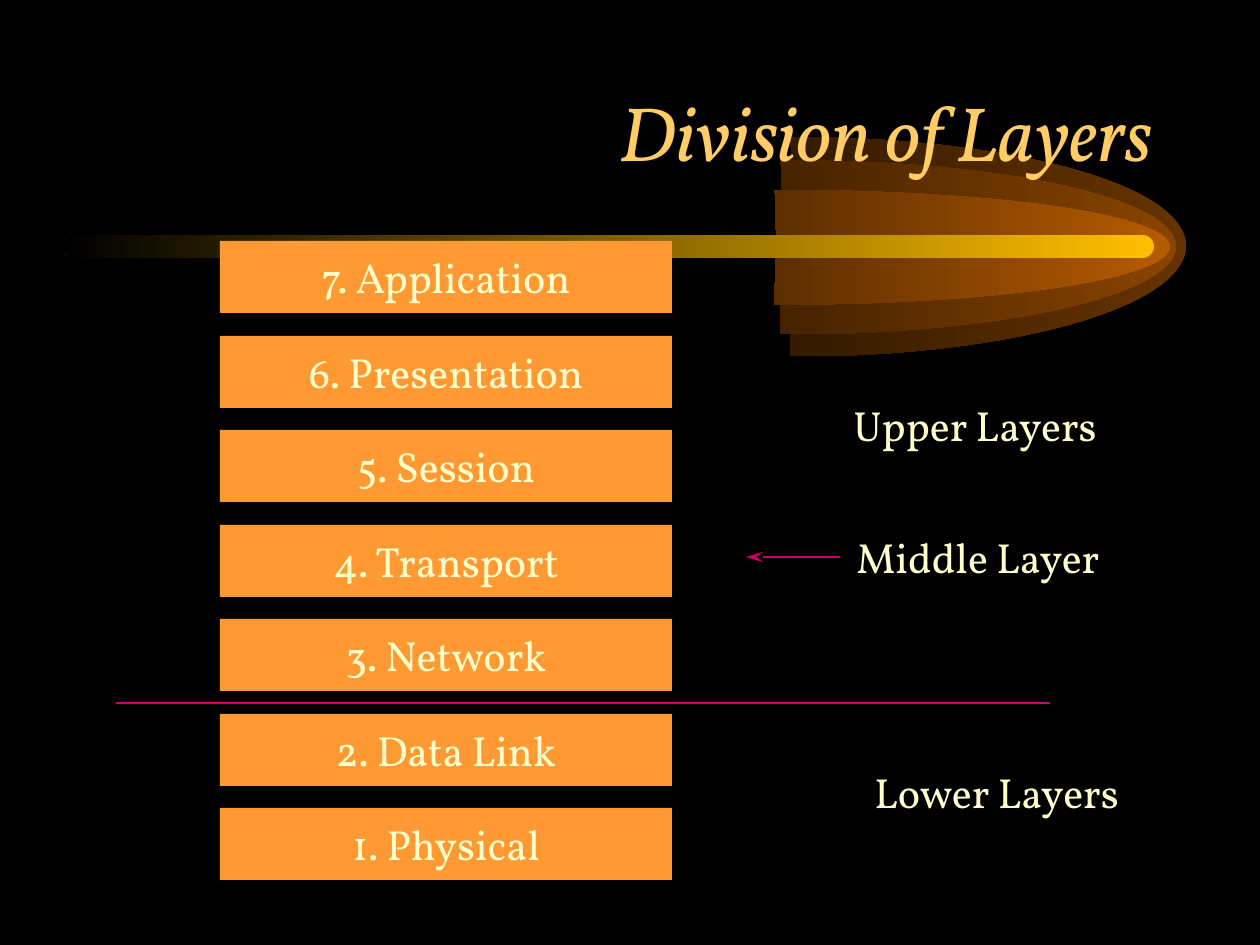
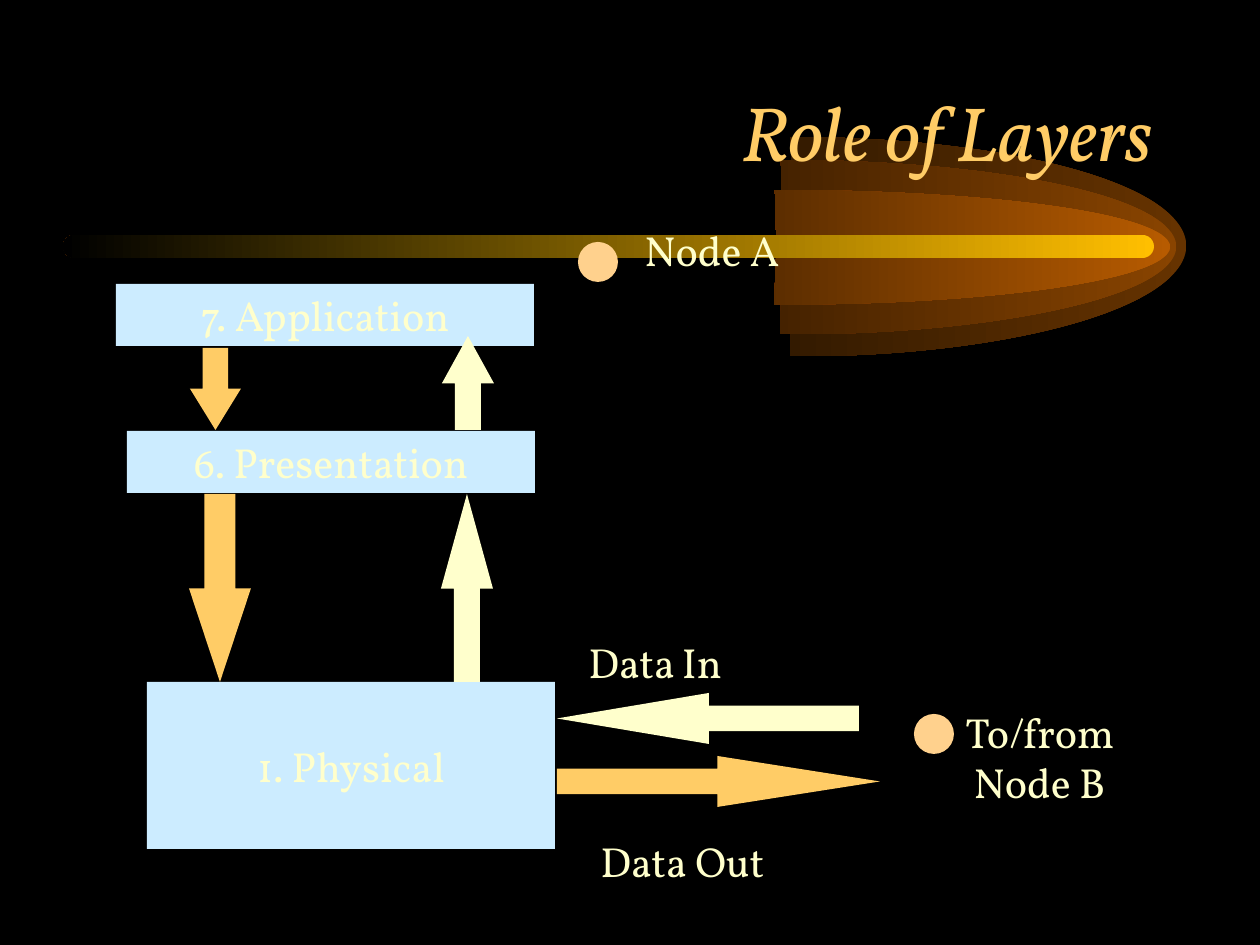
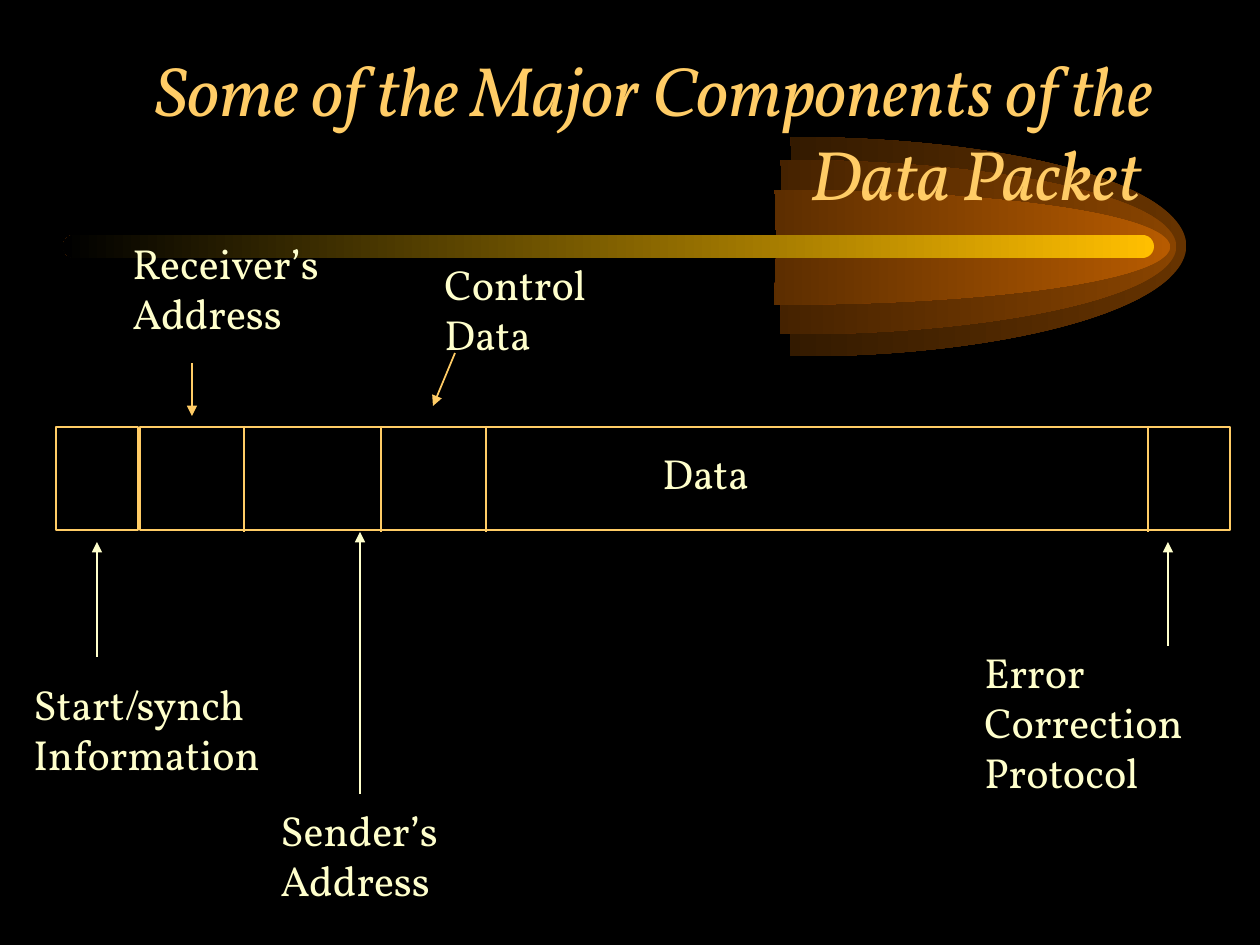
from lxml import etree
from pptx import Presentation
from pptx import util as u
from pptx.dml.color import RGBColor
from pptx.enum import shapes, text
from pptx.oxml.ns import qn

SCALE = 914400 / 126  # EMU in one px
FONT = "Vollkorn"
COLOURS = {
    "black": "000000", "gold": "FFCC66", "cream": "FFFFCC", "orange": "FF9933",
    "ice": "CCECFF", "peach": "FFD18D", "magenta": "CC0066", "beam": "FFBF00",
    "outer": "663300", "middle": "894400", "inner": "B75B00",
}
RGB = {name: RGBColor.from_string(value) for name, value in COLOURS.items()}
KIND = shapes.MSO_SHAPE


def px(*lengths):
    return [u.Emu(round(length * SCALE)) for length in lengths]


def add_part(slide, kind, box, fill=None, pieces=(), adjust=()):
    """Add a filled shape, an outlined shape (no fill) or a text label (no kind)."""
    if kind is None:
        part = slide.shapes.add_textbox(*px(*box))
        part.text_frame.auto_size = text.MSO_AUTO_SIZE.SHAPE_TO_FIT_TEXT
    else:
        part = slide.shapes.add_shape(kind, *px(*box))
        part.shadow.inherit = False
        for index, value in enumerate(adjust):
            part.adjustments[index] = value
        if fill:
            part.fill.solid()
            part.fill.fore_color.rgb = RGB[fill]
            part.line.fill.background()
        else:
            part.fill.background()
            part.line.color.rgb = RGB["gold"]
            part.line.width = u.Pt(1)
    frame = part.text_frame
    frame.word_wrap = False
    for number, line_pieces in enumerate(pieces):
        paragraph = frame.add_paragraph() if number else frame.paragraphs[0]
        paragraph.alignment = text.PP_ALIGN.CENTER if kind else text.PP_ALIGN.LEFT
        for words, size in line_pieces:
            run = paragraph.add_run()
            run.text = words
            for key, value in {"name": FONT, "size": u.Pt(size)}.items():
                setattr(run.font, key, value)
            run.font.color.rgb = RGB["cream"]
    return part


prs = Presentation()
prs.slide_width, prs.slide_height = px(1260, 945)
layout = prs.slide_layouts[5]
layout.background.fill.solid()
layout.background.fill.fore_color.rgb = RGB["black"]

# Titles
slides = []
for heading, size in [
    ("Division of Layers", 44),
    ("Role of Layers", 44),
    ("Some of the Major Components of the Data Packet ", 40),
]:
    slide = prs.slides.add_slide(layout)
    title = slide.shapes.title
    title.left, title.top, title.width, title.height = px(95, 52, 1071, 158)
    title.text_frame.text = heading
    title.text_frame.auto_size = text.MSO_AUTO_SIZE.NONE
    title.text_frame.vertical_anchor = text.MSO_ANCHOR.MIDDLE
    paragraph = title.text_frame.paragraphs[0]
    paragraph.alignment = text.PP_ALIGN.RIGHT
    font = paragraph.runs[0].font
    for key, value in {"name": FONT, "size": u.Pt(size), "italic": True, "bold": False}.items():
        setattr(font, key, value)
    font.color.rgb = RGB["gold"]
    slides.append(slide)
division, role, packet = slides

# Comet behind every title: three half ellipses and a beam, kept on the layout
# The rim is given in thousandths of each frame; the filled part closes through the centre
rim = [
    ("moveTo", [(498, 0)]),
    ("cubicBezTo", [(677, 0), (843, 91), (933, 246)]),
    ("cubicBezTo", [(1022, 400), (1021, 594), (931, 749)]),
    ("cubicBezTo", [(842, 903), (676, 1000), (497, 997)]),
]
closing = [("lnTo", [(500, 497)]), ("close", [])]
comet = []
for (left, top, width, height), glow in [
    ((398, 137, 789, 220), "outer"),
    ((388, 160, 789, 175), "middle"),
    ((382, 190, 789, 115), "inner"),
]:
    right, bottom = left + width, top + height
    builder = division.shapes.build_freeform(left, top, scale=SCALE)
    builder.add_line_segments([(right, top), (right, bottom), (left, bottom)])
    tail = builder.convert_to_shape()
    outlines = tail.element.spPr.find(".//" + qn("a:pathLst"))
    outlines.clear()
    for steps, options in [(rim + closing, {}), (rim, {"fill": "none"})]:
        outline = etree.SubElement(outlines, qn("a:path"), w="1000", h="1000", **options)
        for command, points in steps:
            step = etree.SubElement(outline, qn("a:" + command))
            for x, y in points:
                etree.SubElement(step, qn("a:pt"), x=str(x), y=str(y))
    comet.append((tail, glow))
beam = add_part(division, KIND.ROUNDED_RECTANGLE, (63, 235, 1091, 23), "beam", adjust=[0.5])
comet.append((beam, "beam"))
for band, glow in comet:
    band.shadow.inherit = False
    band.line.fill.background()
    band.fill.gradient()
    band.fill.gradient_angle = 180
    for stop, colour in zip(band.fill.gradient_stops, (glow, "black")):
        stop.color.rgb = RGB[colour]
    layout.shapes.element.append(band.element)

# Division of layers: stack
layers = ["7. Application", "6. Presentation", "5. Session", "4. Transport",
          "3. Network", "2. Data Link", "1. Physical"]
for row, layer in enumerate(layers):
    box = (220, (483 + 189 * row) // 2, 452, 72)
    add_part(division, KIND.RECTANGLE, box, "orange", [[(layer, 24)]])

# Role of layers: boxes, arrows and nodes
for box, layer in [
    ((116, 284, 418, 62), layers[0]),
    ((127, 431, 408, 62), layers[1]),
    ((147, 682, 408, 167), layers[6]),
]:
    add_part(role, KIND.RECTANGLE, box, "ice", [[(layer, 24)]])
for kind, box, flow, head in [
    (KIND.DOWN_ARROW, (190, 348, 51, 82), "gold", 0.81),
    (KIND.DOWN_ARROW, (189, 494, 62, 188), "gold", 1.51),
    (KIND.UP_ARROW, (441, 494, 52, 188), "cream", 1.82),
    (KIND.UP_ARROW, (442, 336, 52, 94), "cream", 0.91),
    (KIND.LEFT_ARROW, (557, 693, 302, 51), "cream", 2.98),
    (KIND.RIGHT_ARROW, (557, 756, 323, 51), "gold", 3.19),
]:
    add_part(role, kind, box, flow, adjust=[0.5, head])
for left, top in [(578, 242), (914, 714)]:
    add_part(role, KIND.OVAL, (left, top, 40, 40), "peach")

# Data packet: start field and the rest of the frame
for left, width in [(56, 82), (140, 1090)]:
    add_part(packet, KIND.RECTANGLE, (left, 427, width, 103))

# Labels
for slide, label, box in [
    (division, "Upper Layers", (841, 393, 295, 63)),
    (division, "Middle Layer", (844, 525, 292, 63)),
    (division, "Lower Layers", (862, 760, 300, 63)),
    (role, "Node A", (632, 218, 170, 63)),
    (role, "Data Out", (588, 829, 318, 63)),
    (role, "To/from\n Node B", (953, 700, 187, 113)),
    (packet, "Receiver’s\nAddress", (120, 231, 228, 113)),
    (packet, "Control\nData", (432, 252, 174, 113)),
    (packet, "Data", (650, 441, 119, 63)),
    (packet, "Start/synch\nInformation", (21, 672, 271, 113)),
    (packet, "Sender’s\nAddress", (268, 798, 195, 113)),
    (packet, "Error\nCorrection\nProtocol", (972, 640, 238, 164)),
]:
    note = add_part(slide, None, box, pieces=[[(words, 24)] for words in label.split("\n")])
    note.text_frame.word_wrap = label == "Data Out"
data_in = add_part(role, None, (576, 630, 202, 63), pieces=[[("Data", 24), (" ", 20), ("In", 24)]])
data_in.text_frame.word_wrap = True

# Lines and arrows
dividers = [(packet, "gold", (x, 426, x, 532), {}) for x in (244, 381, 486, 1148)]
triangle = {"type": "triangle"}
for slide, colour, ends, arrowhead in dividers + [
    (division, "magenta", (116, 703, 1050, 703), {}),
    (division, "magenta", (840, 557, 746, 557), {"type": "stealth", "len": "lg"}),
    (packet, "gold", (192, 363, 192, 416), triangle),
    (packet, "gold", (455, 353, 433, 406), triangle),
    (packet, "cream", (360, 794, 360, 532), triangle),
    (packet, "cream", (1168, 646, 1168, 542), triangle),
    (packet, "cream", (97, 657, 97, 542), triangle),
]:
    line = slide.shapes.add_connector(shapes.MSO_CONNECTOR.STRAIGHT, *px(*ends))
    line.line.color.rgb = RGB[colour]
    line.line.width = u.Pt(1)
    properties = line.element.spPr
    if arrowhead:
        etree.SubElement(properties.find(qn("a:ln")), qn("a:tailEnd"), **arrowhead)
    etree.SubElement(properties, qn("a:effectLst"))

prs.save("out.pptx")
